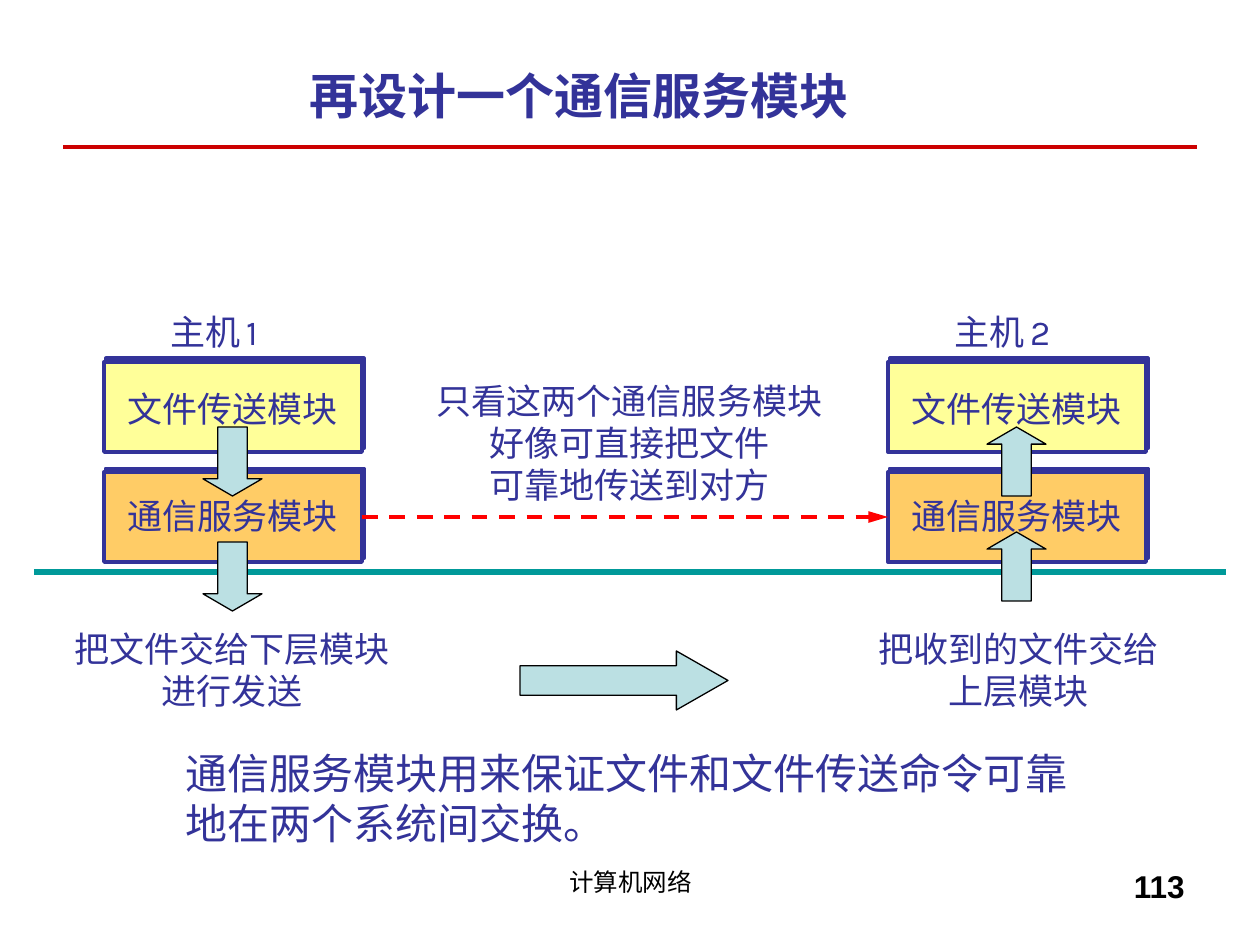
"""Builds the slide on adding a communication service module between two hosts."""
from lxml.etree import SubElement
from pptx import Presentation
from pptx.dml.color import RGBColor
from pptx.enum.dml import MSO_LINE
from pptx.enum.shapes import MSO_CONNECTOR, MSO_SHAPE as Preset
from pptx.enum.text import MSO_ANCHOR as Anchor, MSO_AUTO_SIZE as Fit, PP_ALIGN as Align
from pptx.oxml.ns import qn
from pptx.util import Pt

PX = 914400 / 126
COLORS = {
    "navy": "333399", "red": "CC0000", "signal": "FF0000", "teal": "009999",
    "yellow": "FFFF99", "orange": "FFCC66", "ice": "BBE0E3", "black": "000000",
}


def emu(*lengths):
    return [round(length * PX) for length in lengths]


def rgb(name):
    return RGBColor.from_string(COLORS[name])


class Board:
    """Holds the style and the current slide."""

    def __init__(self, slide, font="Karla", size=20, color="navy"):
        self.shapes = slide.shapes
        self.font, self.size, self.color = font, size, color

    def text(self, x, y, w, h, *lines, size=None, font=None, color=None,
             bold=False, align=Align.LEFT, anchor=Anchor.TOP, wrap=False):
        frame = self.shapes.add_textbox(*emu(x, y, w, h)).text_frame
        frame.word_wrap = wrap
        frame.auto_size = Fit.NONE if wrap else Fit.SHAPE_TO_FIT_TEXT
        frame.vertical_anchor = anchor
        frame.text = "\n".join(lines)
        for paragraph in frame.paragraphs:
            paragraph.alignment = align
            paragraph.font.size = Pt(size or self.size)
            paragraph.font.name = font or self.font
            paragraph.font.bold = bold
            paragraph.font.color.rgb = rgb(color or self.color)
        return frame

    def host_label(self, x, y, number):
        paragraph = self.text(x, y, 134, 55, "主机").paragraphs[0]
        gap = paragraph.add_run()
        gap.text = " "
        gap.font.size = Pt(14)
        paragraph.add_run().text = number

    def shape(self, preset, x, y, w, h, fill, line, width):
        shape = self.shapes.add_shape(preset, *emu(x, y, w, h))
        shape.shadow.inherit = False
        shape.fill.solid()
        shape.fill.fore_color.rgb = rgb(fill)
        shape.line.color.rgb = rgb(line)
        shape.line.width = Pt(width)
        return shape

    def module(self, x, y, fill):
        box = self.shape(Preset.RECTANGLE, x, y, 258, 90, fill, "navy", 2.25)
        effects = box._element.spPr.find(qn("a:effectLst"))
        shadow = SubElement(effects, qn("a:outerShdw"), dist=str(Pt(2.2)),
                            dir=str(296 * 60000), algn="ctr", rotWithShape="0")
        SubElement(shadow, qn("a:srgbClr"), val=COLORS["navy"])

    def arrow(self, preset, x, y, w=59, h=69, head=0.291):
        block = self.shape(preset, x, y, w, h, "ice", "black", 0.75)
        block.adjustments[0] = 0.5
        block.adjustments[1] = head

    def rule(self, x1, x2, y, color, width, dashed_arrow=False):
        rule = self.shapes.add_connector(MSO_CONNECTOR.STRAIGHT, *emu(x1, y, x2, y))
        rule.line.color.rgb = rgb(color)
        rule.line.width = Pt(width)
        properties = rule._element.spPr
        if dashed_arrow:
            rule.line.dash_style = MSO_LINE.DASH
            SubElement(properties.find(qn("a:ln")), qn("a:tailEnd"),
                       type="triangle", len="lg")
        SubElement(properties, qn("a:effectLst"))


def main():
    deck = Presentation()
    deck.slide_width, deck.slide_height = emu(1260, 945)
    board = Board(deck.slides.add_slide(deck.slide_layouts[6]))
    hosts = (104, 888)

    board.rule(63, 1197, 147, "red", 2)
    board.text(431, 861, 399, 66, "计算机网络", size=14, font="Arial",
               color="black", align=Align.CENTER, wrap=True)
    board.text(903, 861, 294, 66, "113", size=18, font="Arial",
               color="black", bold=True, align=Align.RIGHT, wrap=True)
    board.text(63, 42, 1043, 105, "再设计一个通信服务模块 ", size=28,
               font="Times New Roman", bold=True, align=Align.CENTER,
               anchor=Anchor.MIDDLE, wrap=True)

    for y, fill in ((472, "orange"), (362, "yellow")):
        for x in hosts:
            board.module(x, y, fill)
    for number, x in enumerate(hosts, 1):
        board.host_label(x + 54, 304, str(number))
        board.text(x + 11, 381, 236, 55, "文件传送模块")

    board.rule(362, 888, 517, "signal", 2.25, dashed_arrow=True)
    board.text(424, 373, 411, 139, "只看这两个通信服务模块", "好像可直接把文件",
               "可靠地传送到对方", align=Align.CENTER)
    board.rule(34, 1226, 572, "teal", 3)

    directions = (Preset.DOWN_ARROW, Preset.UP_ARROW)
    for x, direction, lower in zip(hosts, directions, (542, 532)):
        board.arrow(direction, x + 99, 427)
        board.text(x + 11, 488, 236, 55, "通信服务模块")
        board.arrow(direction, x + 99, lower)

    board.text(60, 621, 344, 97, "把文件交给下层模块", "进行发送", align=Align.CENTER)
    board.text(864, 621, 309, 97, "把收到的文件交给", "上层模块", align=Align.CENTER)
    board.arrow(Preset.RIGHT_ARROW, 520, 651, 208, 59, head=0.875)
    board.text(173, 741, 907, 113, "通信服务模块用来保证文件和文件传送命令可靠地在两个系统间交换。",
               size=24, wrap=True)
    deck.save("out.pptx")


if __name__ == "__main__":
    main()
